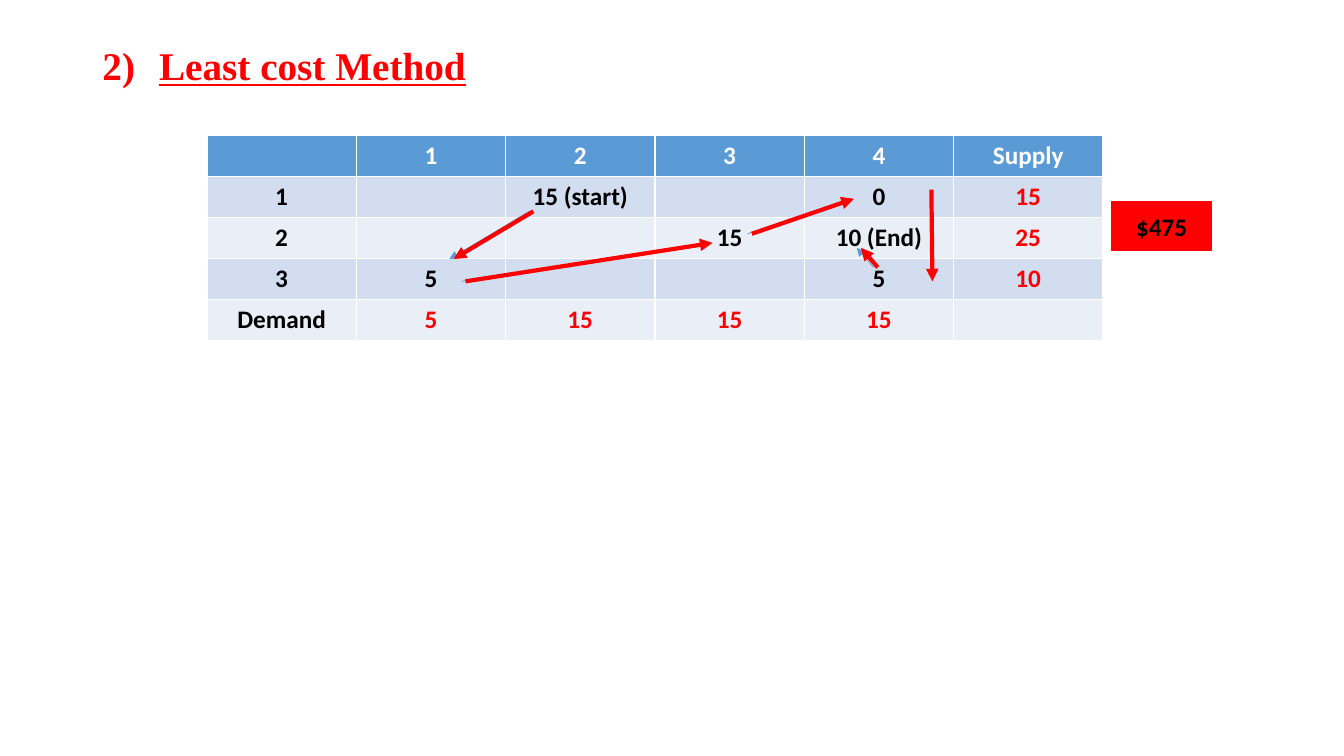
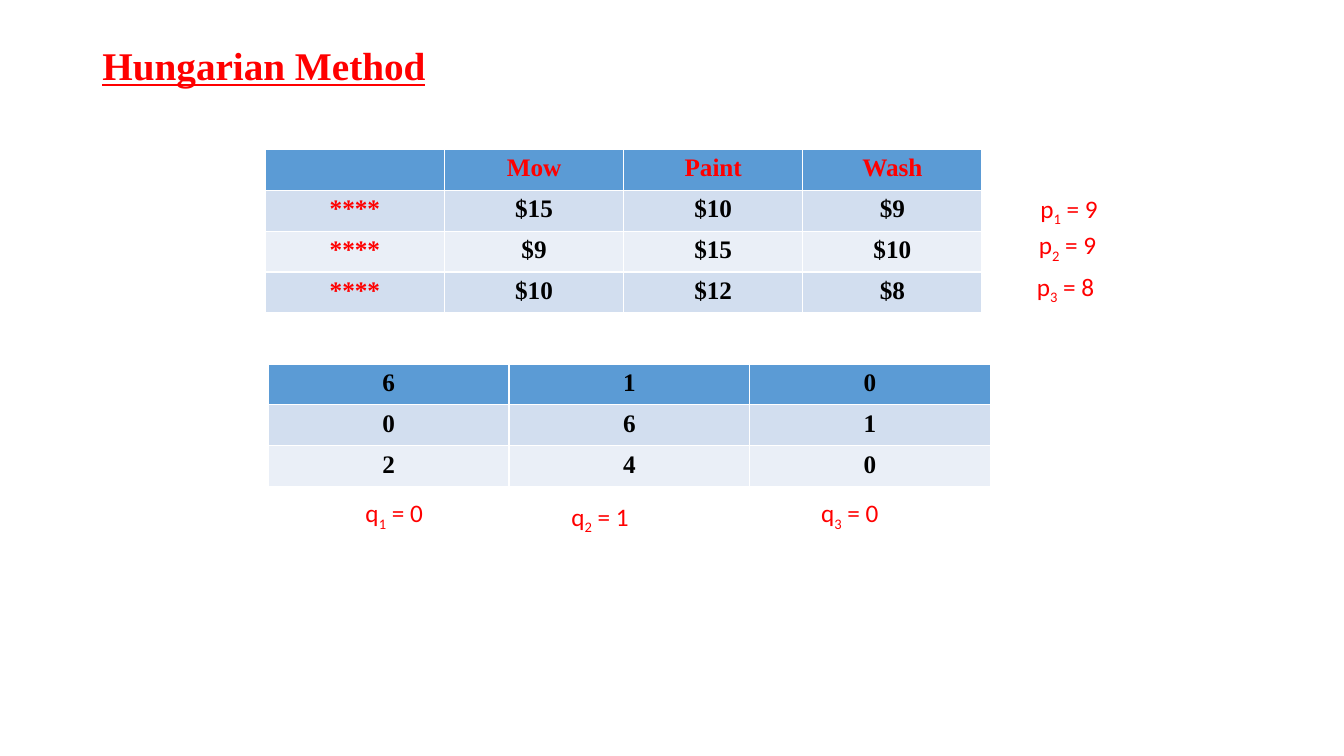
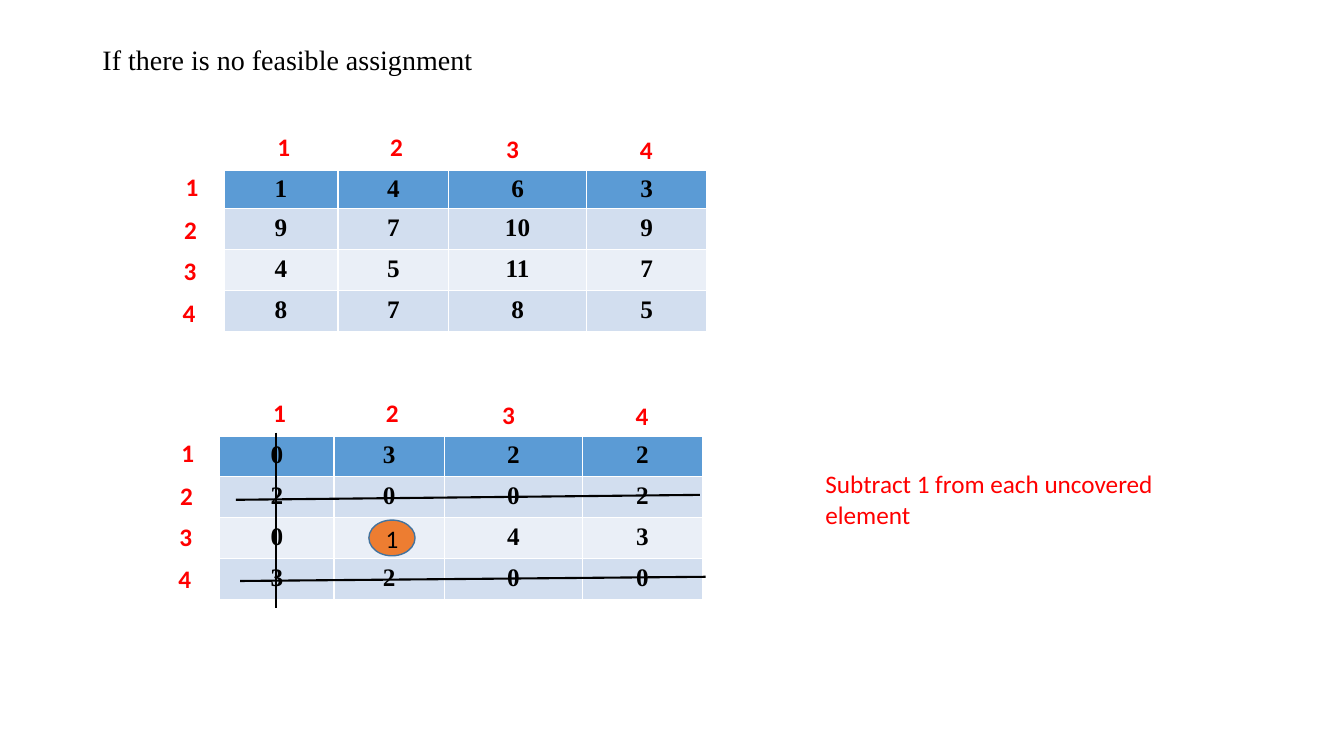
"""Build three slides on the least cost and Hungarian methods."""
from dataclasses import dataclass

from lxml import etree
from pptx import Presentation
from pptx import util as u
from pptx.dml.color import RGBColor
from pptx.enum import shapes, text
from pptx.oxml.ns import qn


@dataclass(frozen=True)
class Theme:
    red: str = "FF0000"
    black: str = "000000"
    white: str = "FFFFFF"
    blue: str = "5B9BD5"
    band_dark: str = "D2DEEF"
    band_light: str = "EAEFF7"
    orange: str = "ED7D31"
    outline: str = "43739E"
    serif: str = "Times New Roman"
    sans: str = "Calibri"
    heading: int = 28
    subheading: int = 20
    body: int = 18


THEME = Theme()


def write(para, words, font=THEME.sans, size=THEME.body, color=THEME.black,
          bold=False, underline=False, baseline=0):
    span = para.add_run()
    span.text = words
    span.font.name = font
    span.font.size = u.Pt(size)
    span.font.bold = bold
    span.font.underline = underline
    span.font.color.rgb = RGBColor.from_string(color)
    if baseline:
        span.font._element.set("baseline", str(baseline * 1000))


class Board:
    def __init__(self, deck, theme):
        self.deck = deck
        self.theme = theme
        self.page = None

    def new_page(self, title, number=None, **style):
        self.page = self.deck.slides.add_slide(self.deck.slide_layouts[5])
        box = self.page.shapes.title
        box.left, box.top, box.width, box.height = map(u.Pt, (66, 29.5, 828, 50))
        frame = box.text_frame
        frame.word_wrap = True
        frame.auto_size = text.MSO_AUTO_SIZE.NONE
        frame.vertical_anchor = text.MSO_ANCHOR.TOP
        para = frame.paragraphs[0]
        para.alignment = text.PP_ALIGN.LEFT
        para.line_spacing = 0.9
        if number:
            props = para._p.get_or_add_pPr()
            props.set("marL", str(u.Pt(40.5)))
            props.set("indent", str(-u.Pt(40.5)))
            etree.SubElement(props, qn("a:buFont"), typeface="+mj-lt")
            etree.SubElement(props, qn("a:buAutoNum"), type="arabicParenR",
                             startAt=str(number))
        look = dict(size=self.theme.heading, color=self.theme.red, bold=True, underline=True)
        write(para, title, font=self.theme.serif, **{**look, **style})

    def table(self, left, top, rows, widths, heights, ink, font):
        grid = self.page.shapes.add_table(
            len(rows), len(widths), u.Pt(left), u.Pt(top),
            u.Pt(sum(widths)), u.Pt(sum(heights))).table
        for column, width in zip(grid.columns, widths):
            column.width = u.Pt(width)
        for r, values in enumerate(rows):
            grid.rows[r].height = u.Pt(heights[r])
            band = self.theme.band_dark if r % 2 else self.theme.band_light
            for c, value in enumerate(values):
                cell = grid.cell(r, c)
                cell.fill.solid()
                cell.fill.fore_color.rgb = RGBColor.from_string(band if r else self.theme.blue)
                if value:
                    para = cell.text_frame.paragraphs[0]
                    para.alignment = text.PP_ALIGN.CENTER
                    write(para, value, font=font, color=ink(r, c), bold=True)

    def label(self, left, top, *parts, width=35, height=29, bold=False):
        box = self.page.shapes.add_textbox(*map(u.Pt, (left, top, width, height)))
        box.text_frame.word_wrap = True
        box.text_frame.auto_size = text.MSO_AUTO_SIZE.SHAPE_TO_FIT_TEXT
        for words, baseline in parts:
            write(box.text_frame.paragraphs[0], words, color=self.theme.red,
                  bold=bold, baseline=baseline)

    def dual(self, left, top, letter, index, value):
        self.label(left, top, (letter, 0), (str(index), -25), (f" = {value}", 0), width=69)

    def line(self, start, end, color, weight, arrow=False):
        link = self.page.shapes.add_connector(
            shapes.MSO_CONNECTOR.STRAIGHT, *map(u.Pt, (*start, *end)))
        link.line.color.rgb = RGBColor.from_string(color)
        link.line.width = u.Pt(weight)
        if arrow:
            etree.SubElement(link.line._get_or_add_ln(), qn("a:tailEnd"), type="triangle")
        etree.SubElement(link._element.spPr, qn("a:effectLst"))

    def badge(self, kind, left, top, width, height, words, fill, outline, bold=False):
        shape = self.page.shapes.add_shape(kind, *map(u.Pt, (left, top, width, height)))
        shape.shadow.inherit = False
        shape.fill.solid()
        shape.fill.fore_color.rgb = RGBColor.from_string(fill)
        shape.line.color.rgb = RGBColor.from_string(outline)
        shape.line.width = u.Pt(1)
        shape.text_frame.vertical_anchor = text.MSO_ANCHOR.MIDDLE
        para = shape.text_frame.paragraphs[0]
        para.alignment = text.PP_ALIGN.CENTER
        write(para, words, bold=bold)

    def cost_matrix(self, left, top, rows):
        self.table(left, top, rows, [81.5, 79, 98.5, 86], [27.5, 29.2, 29.2, 29.2],
                   lambda r, c: self.theme.black, self.theme.serif)
        over = [(31, -31.5), (111.5, -31.5), (194.5, -30), (290, -29)]
        beside = [(-34.5, -3), (-35.5, 28), (-36, 57.3), (-36.7, 87)]
        for offsets in (over, beside):
            for index, (dx, dy) in enumerate(offsets, 1):
                self.label(left + dx, top + dy, (str(index), 0), bold=True)


def least_cost(board):
    theme = board.theme
    board.new_page("Least cost Method", number=2)
    rows = [["", "1", "2", "3", "4", "Supply"],
            ["1", "", "15 (start)", "", "0", "15"],
            ["2", "", "", "15", "10 (End)", "25"],
            ["3", "5", "", "", "5", "10"],
            ["Demand", "5", "15", "15", "15", ""]]

    def ink(r, c):
        if r == 0:
            return theme.white
        return theme.red if c == 5 or (r == 4 and c) else theme.black

    board.table(147.8, 97, rows, [106.67] * 6, [29.2] * 5, ink, theme.sans)
    steps = [((381, 151), (324, 185)), ((332.5, 201), (509, 173.5)),
             ((627, 191), (615, 177)), ((537, 167), (610, 142))]
    for (x1, y1), (x2, y2) in steps:
        board.line((x1 - 3, y1), (x2 - 3, y2), theme.blue, 0.5, arrow=True)
    for start, end in steps + [((665.3, 135.5), (666, 201))]:
        board.line(start, end, theme.red, 3, arrow=True)
    board.badge(shapes.MSO_SHAPE.RECTANGLE, 794, 144, 71.5, 35, "$475",
                theme.red, theme.red, bold=True)


def hungarian(board):
    theme = board.theme
    board.new_page("Hungarian Method")
    prices = [["", "Mow", "Paint", "Wash"],
              ["****", "$15", "$10", "$9"],
              ["****", "$9", "$15", "$10"],
              ["****", "$10", "$12", "$8"]]
    board.table(189.5, 106.7, prices, [128] * 4, [29.2] * 4,
                lambda r, c: theme.black if r and c else theme.red, theme.serif)
    reduced = [["6", "1", "0"], ["0", "6", "1"], ["2", "4", "0"]]
    board.table(191.7, 260, reduced, [171.9] * 3, [29.2] * 3,
                lambda r, c: theme.black, theme.serif)
    duals = {"p": [(736, 134.5, 9), (735, 160.5, 9), (733.5, 190, 8)],
             "q": [(254, 352, 0), (401, 354.5, 1), (579.5, 352, 0)]}
    for letter, places in duals.items():
        for index, (left, top, value) in enumerate(places, 1):
            board.dual(left, top, letter, index, value)


def no_feasible(board):
    theme = board.theme
    board.new_page("If there is no feasible assignment", size=theme.subheading,
                   color=theme.black, bold=False, underline=False)
    board.cost_matrix(160, 121.7, [["1", "4", "6", "3"], ["9", "7", "10", "9"],
                                   ["4", "5", "11", "7"], ["8", "7", "8", "5"]])
    board.cost_matrix(157, 311.7, [["0", "3", "2", "2"], ["2", "0", "0", "2"],
                                   ["0", "", "4", "3"], ["3", "2", "0", "0"]])
    board.label(582.5, 331.2, ("Subtract 1 from each uncovered element", 0),
                width=286, height=51)
    for start, end in [((197.2, 309), (197.2, 434)), ((168.5, 357), (500, 353.5)),
                       ((171.5, 415), (504, 412))]:
        board.line(start, end, theme.black, 1.5)
    board.badge(shapes.MSO_SHAPE.OVAL, 263.5, 371.5, 33, 25.5, "1",
                theme.orange, theme.outline)


def main():
    deck = Presentation()
    deck.slide_width, deck.slide_height = u.Pt(960), u.Pt(540)
    board = Board(deck, THEME)
    for build in (least_cost, hungarian, no_feasible):
        build(board)
    deck.save("out.pptx")


if __name__ == "__main__":
    main()
